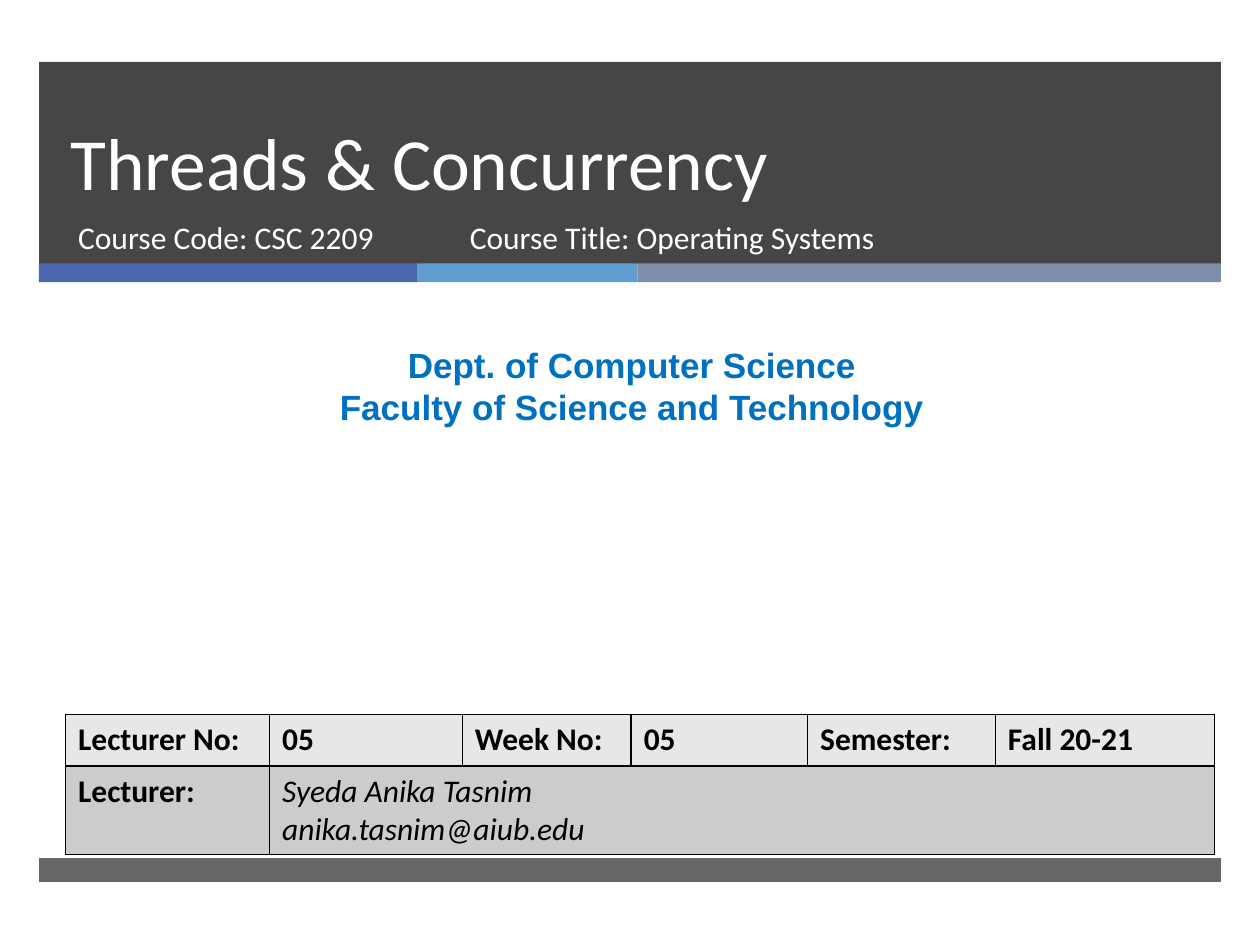
from lxml.etree import SubElement
from pptx import Presentation
from pptx.dml.color import RGBColor
from pptx.enum.shapes import MSO_SHAPE
from pptx.enum.text import MSO_ANCHOR, PP_ALIGN
from pptx.oxml import parse_xml
from pptx.oxml.ns import nsdecls, qn
from pptx.util import Inches, Pt

# Content
TITLE = "Threads & Concurrency"
COURSE_CODE = "Course Code: CSC 2209"
COURSE_TITLE = "Course Title: Operating Systems"
DEPARTMENT = ["Dept. of Computer Science", "Faculty of Science and Technology"]
DETAILS = ["Lecturer No:", "05", "Week No:", "05", "Semester:", "Fall 20-21"]
LECTURER = ["Syeda Anika Tasnim", "anika.tasnim@aiub.edu"]

COLORS = {
    "dark": "262626", "blue": "4A66AC", "sky": "629DD1", "slate": "7F8FA9",
    "white": "FFFFFF", "black": "000000", "department": "0070C0",
    "row1": "E7E7E7", "row2": "CCCCCC",
}
# Left, top, width, height, colour, opacity in percent
BANDS = [
    (0.31, 0.49, 9.38, 1.61, "dark", 85),
    (0.31, 2.09, 3, 0.15, "blue", 100),
    (3.31, 2.09, 1.75, 0.15, "sky", 100),
    (5.06, 2.09, 4.63, 0.15, "slate", 100),
    (0.31, 6.81, 9.38, 0.19, "dark", 70),
]
COLUMN_WIDTHS = [1.62, 1.53, 1.34, 1.4, 1.49, 1.74]
ROW_HEIGHTS = [0.41, 0.7]


def color(name):
    return RGBColor.from_string(COLORS[name])


def place(shape, left, top, width, height):
    shape.left, shape.top = Inches(left), Inches(top)
    shape.width, shape.height = Inches(width), Inches(height)


def write(frame, lines, size, color_name, font="Calibri", bold=False,
          italic=False, align=PP_ALIGN.LEFT):
    frame.word_wrap = True
    frame.text = "\n".join(lines)
    for paragraph in frame.paragraphs:
        paragraph.alignment = align
        paragraph.space_before = Pt(0)
        paragraph.font.name = font
        paragraph.font.size = Pt(size)
        paragraph.font.bold = bold
        paragraph.font.italic = italic
        paragraph.font.color.rgb = color(color_name)


def fill_cell(cell, lines, fill, **style):
    write(cell.text_frame, lines, 18, "black", **style)
    cell.fill.solid()
    cell.fill.fore_color.rgb = color(fill)


def add_borders(cell):
    properties = cell._tc.get_or_add_tcPr()
    for index, side in enumerate(("lnL", "lnR", "lnT", "lnB")):
        properties.insert(index, parse_xml(
            f'<a:{side} {nsdecls("a")} w="12700"><a:solidFill>'
            f'<a:srgbClr val="{COLORS["black"]}"/></a:solidFill></a:{side}>'))


presentation = Presentation()
presentation.slide_width, presentation.slide_height = Inches(10), Inches(7.5)
slide = presentation.slides.add_slide(presentation.slide_layouts[0])
shapes = slide.shapes

# Bands, kept behind the placeholders
for index, (left, top, width, height, name, opacity) in enumerate(BANDS):
    band = shapes.add_shape(MSO_SHAPE.RECTANGLE, Inches(left), Inches(top),
                            Inches(width), Inches(height))
    band.shadow.inherit = False
    band.fill.solid()
    band.fill.fore_color.rgb = color(name)
    band.line.fill.background()
    if opacity < 100:
        rgb = band._element.spPr.find(qn("a:solidFill")).find(qn("a:srgbClr"))
        SubElement(rgb, qn("a:alpha")).set("val", str(opacity * 1000))
    shapes._spTree.insert(2 + index, band._element)

# Title and course lines
title = shapes.title
place(title, 0.46, 0.49, 8.54, 1.19)
write(title.text_frame, [TITLE], 42, "white")
title.text_frame.vertical_anchor = MSO_ANCHOR.BOTTOM
title.text_frame.paragraphs[0].line_spacing = Pt(46)

subtitle = slide.placeholders[1]
place(subtitle, 0.52, 1.68, 3.05, 0.53)
write(subtitle.text_frame, [COURSE_CODE], 18, "white")

course_title = shapes.add_textbox(Inches(3.63), Inches(1.68), Inches(4.55), Inches(0.53))
write(course_title.text_frame, [COURSE_TITLE], 18, "white")

# Department
department = shapes.add_textbox(Inches(0.08), Inches(2.68), Inches(9.87), Inches(0.77))
write(department.text_frame, DEPARTMENT, 20, "department", font="Arial",
      bold=True, align=PP_ALIGN.CENTER)

# Lecture details table
table = shapes.add_table(len(ROW_HEIGHTS), len(COLUMN_WIDTHS), Inches(0.52), Inches(5.67),
                         Inches(sum(COLUMN_WIDTHS)), Inches(sum(ROW_HEIGHTS))).table
for column, width in zip(table.columns, COLUMN_WIDTHS):
    column.width = Inches(width)
for row, height in zip(table.rows, ROW_HEIGHTS):
    row.height = Inches(height)
table.cell(1, 1).merge(table.cell(1, len(COLUMN_WIDTHS) - 1))

for index, text in enumerate(DETAILS):
    fill_cell(table.cell(0, index), [text], "row1", bold=True)
fill_cell(table.cell(1, 0), ["Lecturer:"], "row2", bold=True)
fill_cell(table.cell(1, 1), LECTURER, "row2", italic=True)
for cell in table.iter_cells():
    add_borders(cell)

presentation.save("out.pptx")
